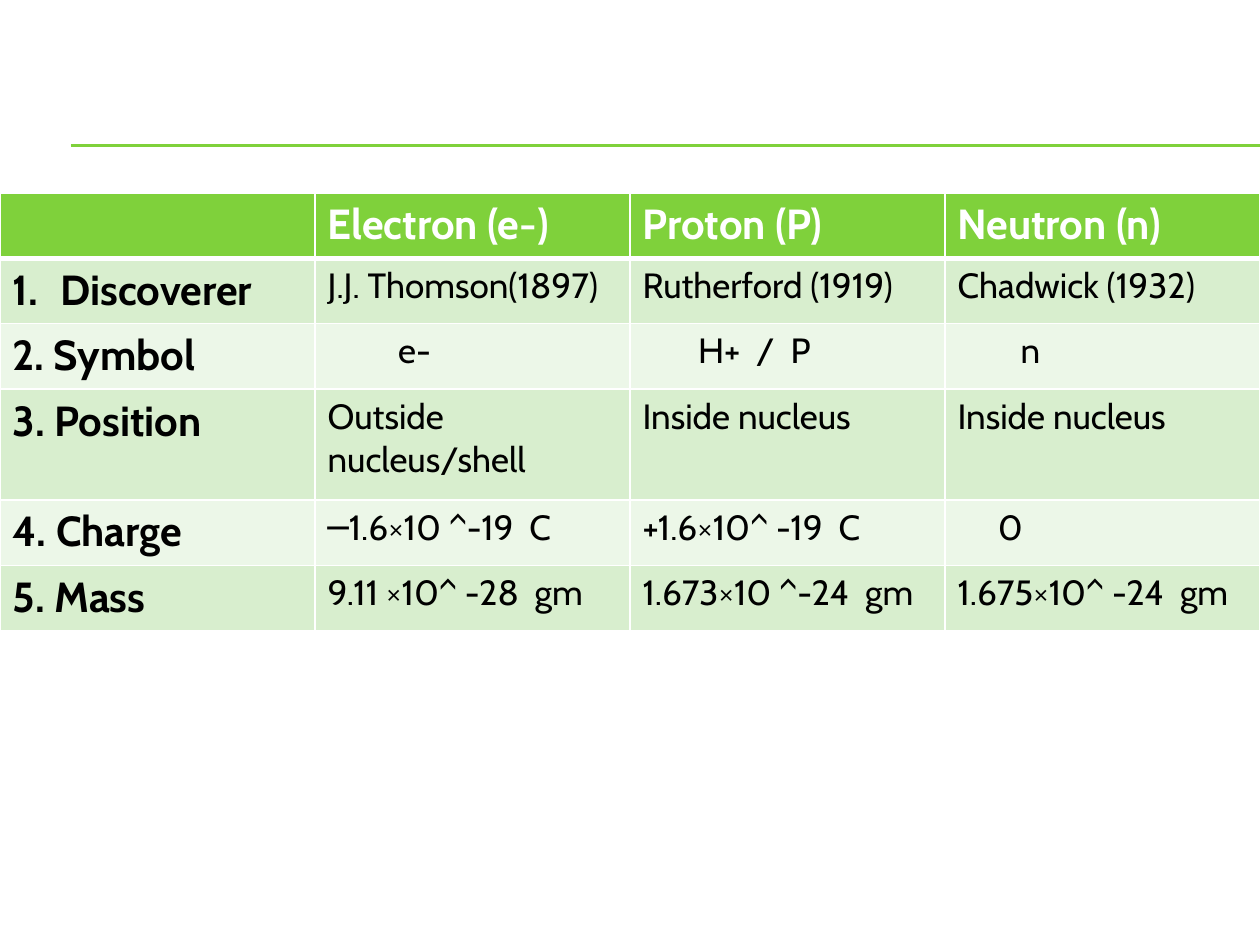
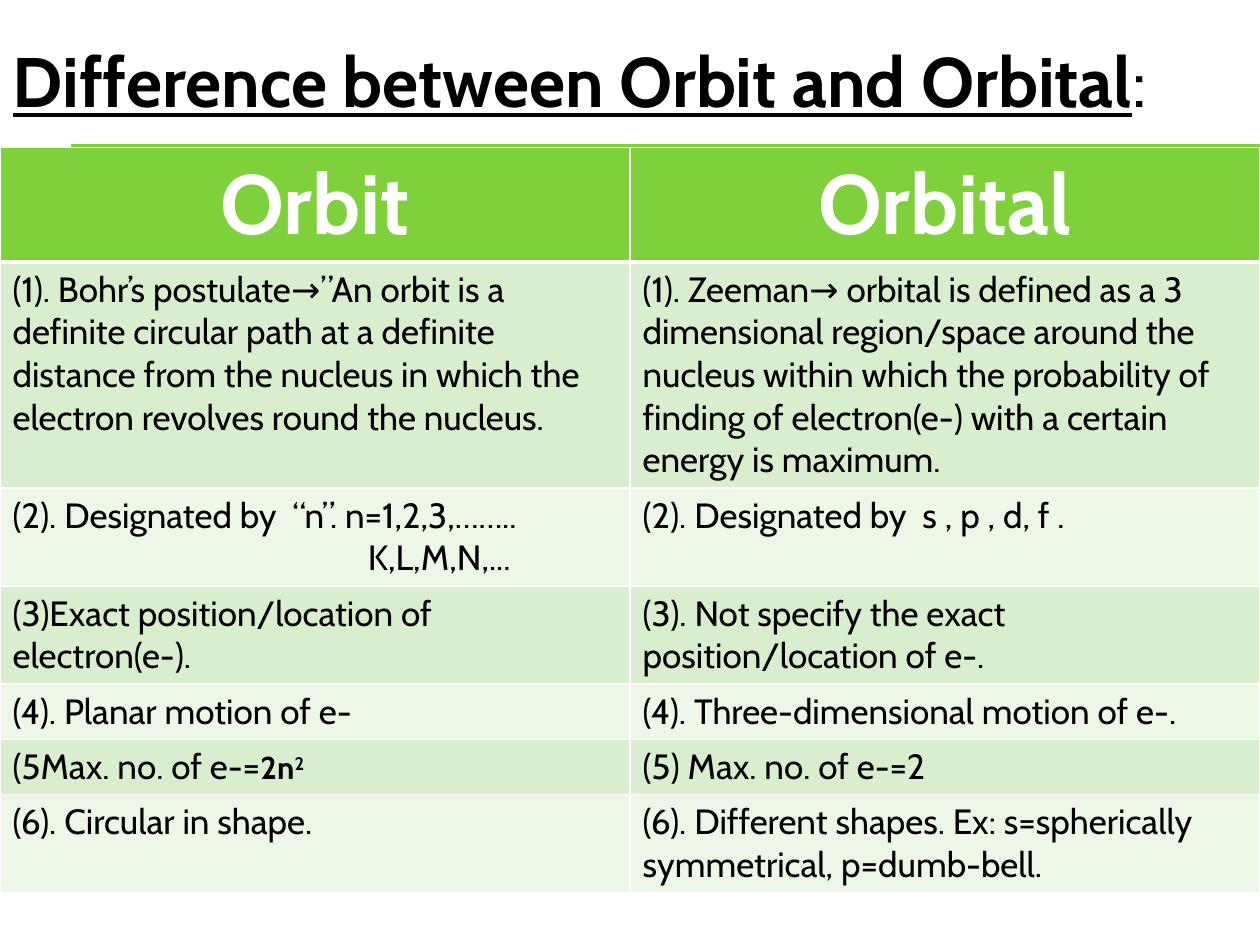
import pptx
import pptx.util
import pptx.dml.color
import pptx.enum.shapes
import pptx.enum.text
import pptx.oxml
import pptx.oxml.ns

Inches = pptx.util.Inches
ALIGN = pptx.enum.text.PP_ALIGN

# Shared look
FONT = "Cabin"
GREEN, WHITE, BLACK = "7FD13B", "FFFFFF", "000000"
BANDS = ["D8EECE", "ECF7E8"]
WIDE = 10

# Content: a cell is a text, or a list of paragraphs;
# a paragraph is a text, or a dict with its runs and format
HEADS = ["", "Electron (e-)", "Proton (P)", "Neutron (n)"]
FACTS = [
    [[{"runs": ["Discoverer"], "left": 0.38, "hang": 0.38, "num": True}],
     "J.J. Thomson(1897)", "Rutherford (1919)", "Chadwick (1932)"],
    ["2. Symbol", [{"runs": ["e-"], "left": 0.56}],
     [{"runs": ["H+  /  P"], "left": 0.44}], [{"runs": ["n"], "left": 0.5}]],
    ["3. Position", "Outside nucleus/shell", "Inside nucleus",
     "Inside nucleus"],
    ["4. Charge", "─1.6×10 ^-19  C", "+1.6×10^ -19  C",
     [{"runs": ["0"], "left": 0.32}]],
    ["5. Mass", "9.11 ×10^ -28  gm", "1.673×10 ^-24  gm",
     "1.675×10^ -24  gm"],
]
FACT_ROWS = [0.52, 0.52, 0.52, 0.88, 0.52, 0.52]

TITLE = [{"runs": [("Difference between Orbit and Orbital",
                    {"bold": True, "under": True}), ":"]}]
SIDES = ["Orbit", "Orbital"]
POINTS = [
    ["(1). Bohr’s postulate→”An orbit is a definite circular path at a "
     "definite distance from the nucleus in which the electron revolves "
     "round the nucleus.",
     "(1). Zeeman→ orbital is defined as a 3 dimensional region/space around "
     "the nucleus within which the probability of finding of electron(e-) "
     "with a certain energy is maximum."],
    [["(2). Designated by  “n”. n=1,2,3,……..",
      {"runs": ["K,L,M,N,..."], "left": 2.82}],
     "(2). Designated by  s , p , d, f ."],
    ["(3)Exact position/location of electron(e-).",
     "(3). Not specify the exact position/location of e-."],
    ["(4). Planar motion of e-", "(4). Three-dimensional motion of e-."],
    [[{"runs": ["(5Max. no. of e-=", ("2n", {"size": 18, "bold": True}),
                ("2", {"size": 18, "bold": True, "base": 30})]}],
     "(5) Max. no. of e-=2"],
    ["(6). Circular in shape.",
     "(6). Different shapes. Ex: s=spherically symmetrical, p=dumb-bell."],
]
POINT_ROWS = [0.89, 1.77, 0.77, 0.76, 0.44, 0.43, 0.77]


def color(code):
    return pptx.dml.color.RGBColor.from_string(code)


def style(run, size=20, bold=False, under=False, ink=BLACK, base=0):
    font = run.font
    font.name, font.size = FONT, pptx.util.Pt(size)
    font.bold, font.underline = bold, under
    font.color.rgb = color(ink)
    if base:
        font._element.set("baseline", str(base * 1000))


def write(frame, text, align=ALIGN.LEFT, **look):
    """Fill a text frame with paragraphs of styled runs."""
    for i, part in enumerate([text] if isinstance(text, str) else text):
        if isinstance(part, str):
            part = {"runs": [part]}
        para = frame.add_paragraph() if i else frame.paragraphs[0]
        para.alignment = align
        props = para._p.get_or_add_pPr()
        if "left" in part:
            props.set("marL", str(Inches(part["left"])))
            props.set("indent", str(-Inches(part.get("hang", 0))))
        if part.get("num"):
            mark = pptx.oxml.ns.qn("a:buAutoNum")
            props.append(props.makeelement(mark, {"type": "arabicPeriod"}))
        for item in part["runs"]:
            words, extra = (item, {}) if isinstance(item, str) else item
            run = para.add_run()
            run.text = words
            style(run, **{**look, **extra})


def edge(cell, sides):
    """Draw white borders; sides maps L, R, T, B to points."""
    props = cell._tc.get_or_add_tcPr()
    for i, (side, width) in enumerate(sides.items()):
        props.insert(i, pptx.oxml.parse_xml(
            f'<a:ln{side} {pptx.oxml.ns.nsdecls("a")} '
            f'w="{pptx.util.Pt(width)}"><a:solidFill>'
            f'<a:srgbClr val="{WHITE}"/></a:solidFill></a:ln{side}>'))


def grid(slide, top, heights, heads, body, head_look, label_look):
    """Add a full-width table with a green head and banded rows."""
    rows = [heads] + body
    table = slide.shapes.add_table(
        len(rows), len(heads), 0, Inches(top), Inches(WIDE),
        Inches(sum(heights))).table
    table.first_row = table.horz_banding = False
    for col in table.columns:
        col.width = Inches(WIDE / len(heads))
    for r, row in enumerate(rows):
        table.rows[r].height = Inches(heights[r])
        for c, text in enumerate(row):
            cell = table.cell(r, c)
            cell.fill.solid()
            cell.fill.fore_color.rgb = color(BANDS[(r - 1) % 2] if r else GREEN)
            edge(cell, {"L": 1, "R": 1, "T": 3 if r == 1 else 1,
                        "B": 1 if r else 3})
            look = label_look if c == 0 else {}
            if r == 0:
                look = {"bold": True, "ink": WHITE, **head_look}
            if text:
                write(cell.text_frame, text, **look)


def start(deck, layout):
    """Add a slide with the double green rule."""
    slide = deck.slides.add_slide(deck.slide_layouts[layout])
    for y in (1.15, 1.16):
        rule = slide.shapes.add_connector(
            pptx.enum.shapes.MSO_CONNECTOR.STRAIGHT,
            Inches(0.56), Inches(y), Inches(WIDE), Inches(y))
        rule.line.color.rgb = color(GREEN)
        rule.line.width = pptx.util.Pt(0.75)
        props = rule._element.spPr
        props.append(props.makeelement(pptx.oxml.ns.qn("a:effectLst"), {}))
    return slide


def main():
    deck = pptx.Presentation()
    deck.slide_width, deck.slide_height = Inches(WIDE), Inches(7.5)

    # Particles
    slide = start(deck, 6)
    grid(slide, 1.53, FACT_ROWS, HEADS, FACTS,
         {"size": 24}, {"size": 24, "bold": True})

    # Orbit and orbital
    slide = start(deck, 5)
    title = slide.shapes.title
    title.left, title.top = Inches(0), Inches(0.25)
    title.width, title.height = Inches(9.67), Inches(0.77)
    frame = title.text_frame
    frame.word_wrap = True
    frame.auto_size = pptx.enum.text.MSO_AUTO_SIZE.NONE
    frame.vertical_anchor = pptx.enum.text.MSO_ANCHOR.MIDDLE
    write(frame, TITLE, size=40)
    grid(slide, 1.17, POINT_ROWS, SIDES, POINTS,
         {"size": 48, "align": ALIGN.CENTER}, {})

    deck.save("out.pptx")


if __name__ == "__main__":
    main()
